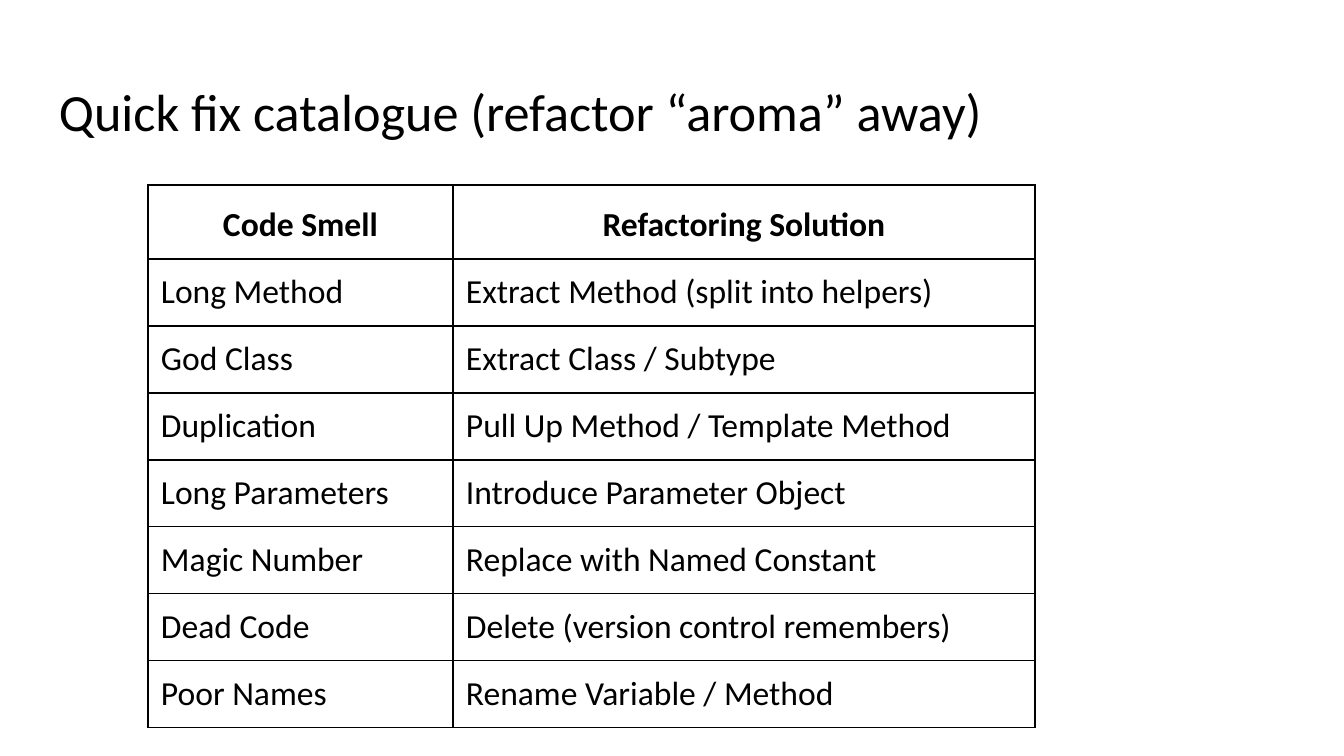
from lxml import etree
from pptx import Presentation
from pptx import util as u
from pptx.dml.color import RGBColor
from pptx.enum import text
from pptx.oxml.ns import qn

PX = 914400 / 134.4
BLACK = RGBColor(0, 0, 0)
FONT = "Calibri"
INSET = 13


def px(n):
    return u.Emu(round(n * PX))


def add_borders(cell):
    """Draw a thin line on all four sides; call before setting the fill."""
    tcPr = cell._tc.get_or_add_tcPr()
    for side in ("lnL", "lnR", "lnT", "lnB"):
        ln = etree.SubElement(tcPr, qn(f"a:{side}"), w=str(u.Pt(0.75)))
        fill = etree.SubElement(ln, qn("a:solidFill"))
        etree.SubElement(fill, qn("a:srgbClr"), val=str(BLACK))


prs = Presentation()
prs.slide_width, prs.slide_height = px(1344), px(756)
s = prs.slides.add_slide(prs.slide_layouts[5])

title = s.shapes.title
title.left, title.top, title.width, title.height = px(46), px(66), px(1252), px(90)
tf = title.text_frame
tf.text = "Quick fix catalogue (refactor “aroma” away)"
tf.word_wrap = True
tf.auto_size = text.MSO_AUTO_SIZE.NONE
tf.vertical_anchor = text.MSO_ANCHOR.TOP
tf.margin_left = tf.margin_right = tf.margin_top = tf.margin_bottom = px(INSET)
p = tf.paragraphs[0]
p.alignment = text.PP_ALIGN.LEFT
r = p.runs[0]
r.font.name, r.font.size, r.font.color.rgb = FONT, u.Pt(28), BLACK

rows = [
    ("Code Smell", "Refactoring Solution"),
    ("Long Method", "Extract Method (split into helpers)"),
    ("God Class", "Extract Class / Subtype"),
    ("Duplication", "Pull Up Method / Template Method"),
    ("Long Parameters", "Introduce Parameter Object"),
    ("Magic Number", "Replace with Named Constant"),
    ("Dead Code", "Delete (version control remembers)"),
    ("Poor Names", "Rename Variable / Method"),
]
widths = (305, 582)
heights = [74] + [67] * (len(rows) - 1)

table = s.shapes.add_table(len(rows), len(widths), px(148), px(185),
                           px(sum(widths)), px(sum(heights))).table
table.horz_banding = False
for column, width in zip(table.columns, widths):
    column.width = px(width)
for i, (row, height) in enumerate(zip(rows, heights)):
    table.rows[i].height = px(height)
    for j, label in enumerate(row):
        cell = table.cell(i, j)
        add_borders(cell)
        cell.fill.background()
        cell.margin_left = cell.margin_right = px(INSET)
        cell.margin_top = cell.margin_bottom = px(INSET)
        cell.text = label
        p = cell.text_frame.paragraphs[0]
        if i == 0:
            p.alignment = text.PP_ALIGN.CENTER
            p.line_spacing = 1.15
        r = p.runs[0]
        r.font.name, r.font.size, r.font.color.rgb = FONT, u.Pt(18), BLACK
        r.font.bold = i == 0

prs.save("out.pptx")
